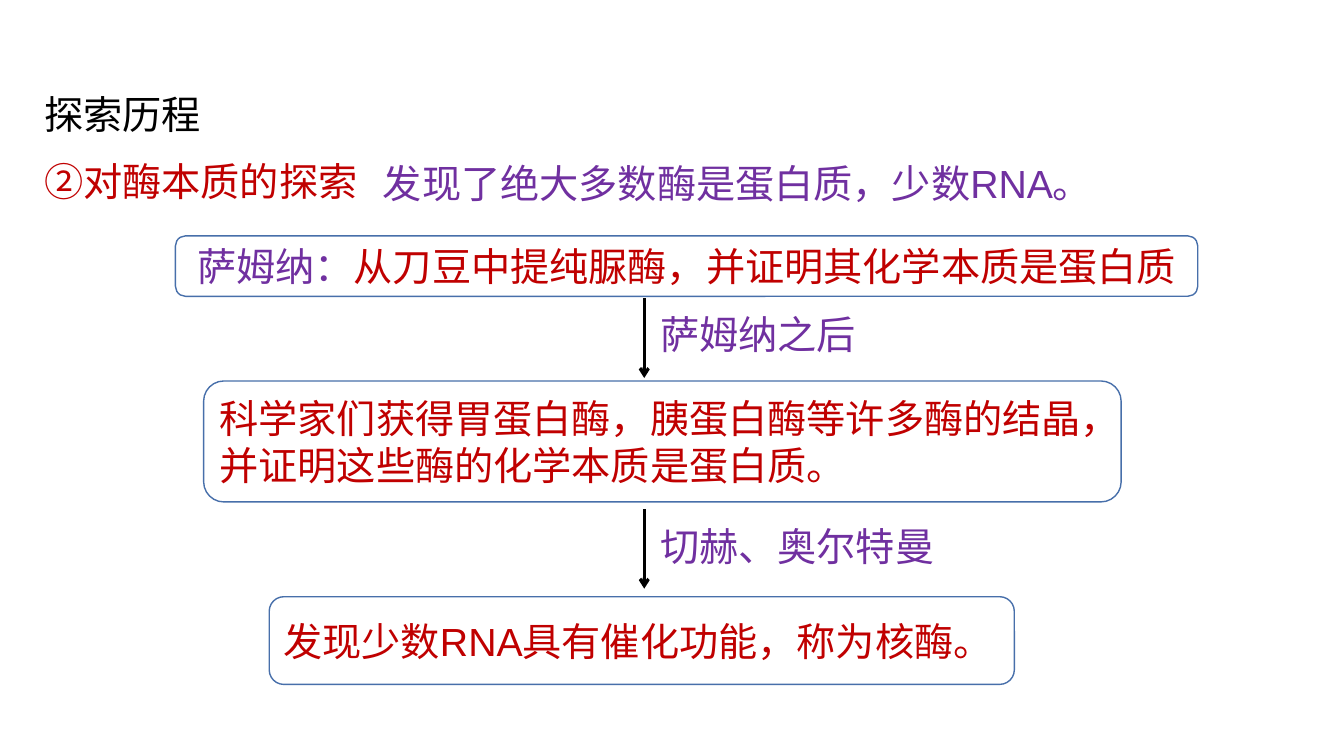
"""Build the slide on how the chemical nature of enzymes was discovered."""
from lxml.etree import SubElement
from pptx import Presentation
from pptx.dml.color import RGBColor
from pptx.enum.shapes import MSO_CONNECTOR, MSO_SHAPE
from pptx.enum.text import MSO_ANCHOR, PP_ALIGN
from pptx.oxml.ns import qn
from pptx.util import Inches, Pt

BLACK = RGBColor(0x00, 0x00, 0x00)
RED = RGBColor(0xC0, 0x00, 0x00)
PURPLE = RGBColor(0x70, 0x30, 0xA0)
BOX_BLUE = RGBColor(0x47, 0x6F, 0xAA)


def write_text(shape, runs, alignment=PP_ALIGN.LEFT):
    shape.text_frame.word_wrap = True
    paragraph = shape.text_frame.paragraphs[0]
    paragraph.alignment = alignment
    paragraph.font.size = Pt(28)
    paragraph.font.name = "Arial"
    for text, color in runs:
        run = paragraph.add_run()
        run.text = text
        run.font.color.rgb = color


presentation = Presentation()
presentation.slide_width = Inches(13.33)
presentation.slide_height = Inches(7.5)
slide = presentation.slides.add_slide(presentation.slide_layouts[6])

labels = [
    ("探索历程", BLACK, 0.34, 0.85, 3.33),
    ("②对酶本质的探索", RED, 0.34, 1.51, 3.58),
    ("发现了绝大多数酶是蛋白质，少数RNA。", PURPLE, 3.7, 1.53, 8.01),
    ("萨姆纳之后", PURPLE, 6.45, 3.03, 2.48),
    ("切赫、奥尔特曼", PURPLE, 6.45, 5.13, 4.31),
]
for text, color, left, top, width in labels:
    label = slide.shapes.add_textbox(Inches(left), Inches(top), Inches(width), Inches(0.57))
    write_text(label, [(text, color)])

steps = [
    ([("萨姆纳：", PURPLE), ("从刀豆中提纯脲酶，并证明其化学本质是蛋白质", RED)],
     PP_ALIGN.CENTER, 1.74, 2.34, 10.14, 0.6),
    ([("科学家们获得胃蛋白酶，胰蛋白酶等许多酶的结晶，并证明这些酶的化学本质是蛋白质。", RED)],
     PP_ALIGN.LEFT, 2.02, 3.78, 9.1, 1.2),
    ([("发现少数RNA具有催化功能，称为核酶。", RED)],
     PP_ALIGN.LEFT, 2.67, 5.92, 7.39, 0.87),
]
for runs, alignment, left, top, width, height in steps:
    box = slide.shapes.add_shape(
        MSO_SHAPE.ROUNDED_RECTANGLE, Inches(left), Inches(top), Inches(width), Inches(height))
    box.shadow.inherit = False
    box.fill.background()
    box.line.color.rgb = BOX_BLUE
    box.line.width = Pt(1)
    box.text_frame.vertical_anchor = MSO_ANCHOR.MIDDLE
    write_text(box, runs, alignment)

for top in (2.96, 5.05):
    arrow = slide.shapes.add_connector(
        MSO_CONNECTOR.STRAIGHT, Inches(6.39), Inches(top), Inches(6.39), Inches(top + 0.79))
    arrow.line.color.rgb = BLACK
    arrow.line.width = Pt(2.25)
    SubElement(arrow.line._get_or_add_ln(), qn("a:tailEnd"), type="arrow")
    SubElement(arrow._element.spPr, qn("a:effectLst"))

presentation.save("out.pptx")
